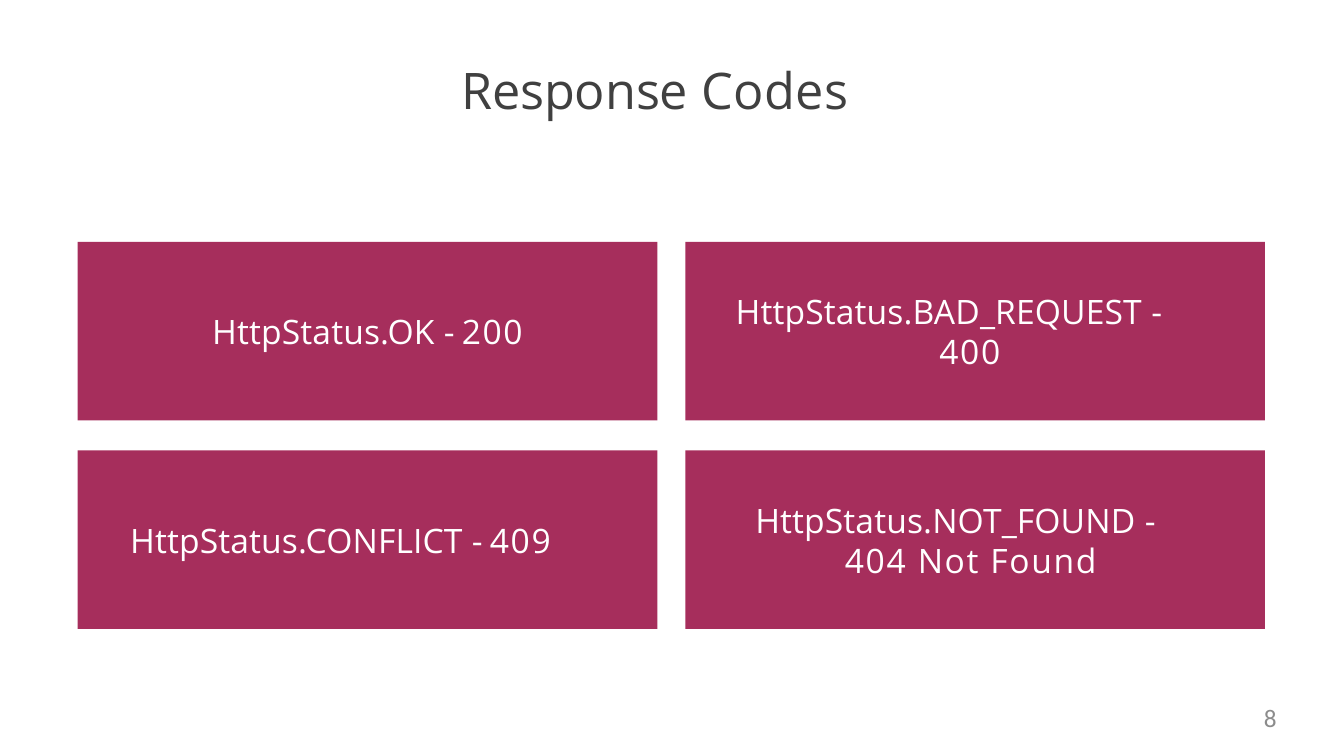
import pptx
import pptx.util
import pptx.dml.color
import pptx.enum.shapes
import pptx.enum.text

Pt = pptx.util.Pt
ALIGN = pptx.enum.text.PP_ALIGN
ANCHOR = pptx.enum.text.MSO_ANCHOR


def color(value):
    return pptx.dml.color.RGBColor.from_string(value)


def format_text(frame, size, font, ink, align, anchor, runs):
    """Fill the frame with one paragraph of (text, letter spacing) runs."""
    frame.word_wrap = True
    frame.vertical_anchor = anchor
    frame.margin_left = frame.margin_right = 0
    frame.margin_top = frame.margin_bottom = 0
    paragraph = frame.paragraphs[0]
    paragraph.alignment = align
    paragraph.font.size = Pt(size)
    paragraph.font.name = font
    paragraph.font.color.rgb = color(ink)
    for text, spacing in runs:
        run = paragraph.add_run()
        run.text = text
        run.font._element.set("spc", str(round(spacing * 100)))
    return paragraph


deck = pptx.Presentation()
deck.slide_width, deck.slide_height = Pt(960), Pt(540)
slide = deck.slides.add_slide(deck.slide_layouts[5])

# Title
title = slide.shapes.title
title.left, title.top, title.width, title.height = Pt(328.5), Pt(41), Pt(297), Pt(45.5)
format_text(title.text_frame, 36, "Open Sans", "404040", ALIGN.LEFT, ANCHOR.TOP,
            [("Response ", -0.1), ("Codes", 0.4)])
title.text_frame.margin_left = Pt(1)
title.text_frame.margin_top = Pt(1)

# Status cards: name, code, alignment, left margin, first-line indent
statuses = [
    ("HttpStatus.OK", "200", ALIGN.CENTER, 0, 0),
    ("HttpStatus.BAD_REQUEST", "400", ALIGN.LEFT, 181.5, -145.5),
    ("HttpStatus.CONFLICT", "409", ALIGN.LEFT, 37.5, 0),
    ("HttpStatus.NOT_FOUND", "404 Not Found", ALIGN.LEFT, 114, -64),
]
card_width, card_height = 414, 127.5
for index, (name, code, align, margin, indent) in enumerate(statuses):
    row, column = divmod(index, 2)
    card = slide.shapes.add_shape(
        pptx.enum.shapes.MSO_SHAPE.RECTANGLE,
        Pt(55.5 + column * 434), Pt(172.8 + row * 149),
        Pt(card_width), Pt(card_height))
    card.shadow.inherit = False
    card.fill.solid()
    card.fill.fore_color.rgb = color("A62E5C")
    card.line.fill.background()
    label = format_text(card.text_frame, 24, "Open Sans", "FFFFFF", align, ANCHOR.MIDDLE,
                        [(name + " ", 0.1), ("- ", -1.1), (code, 1.2)])
    card.text_frame.margin_right = Pt(48 * column)
    properties = label._p.get_or_add_pPr()
    properties.set("marL", str(Pt(margin)))
    properties.set("indent", str(Pt(indent)))

# Slide number
number = slide.shapes.add_textbox(Pt(691), Pt(502), Pt(221), Pt(27))
format_text(number.text_frame, 18, "Calibri", "8C8C8C", ALIGN.RIGHT, ANCHOR.TOP, [("8", 0)])

deck.save("out.pptx")
